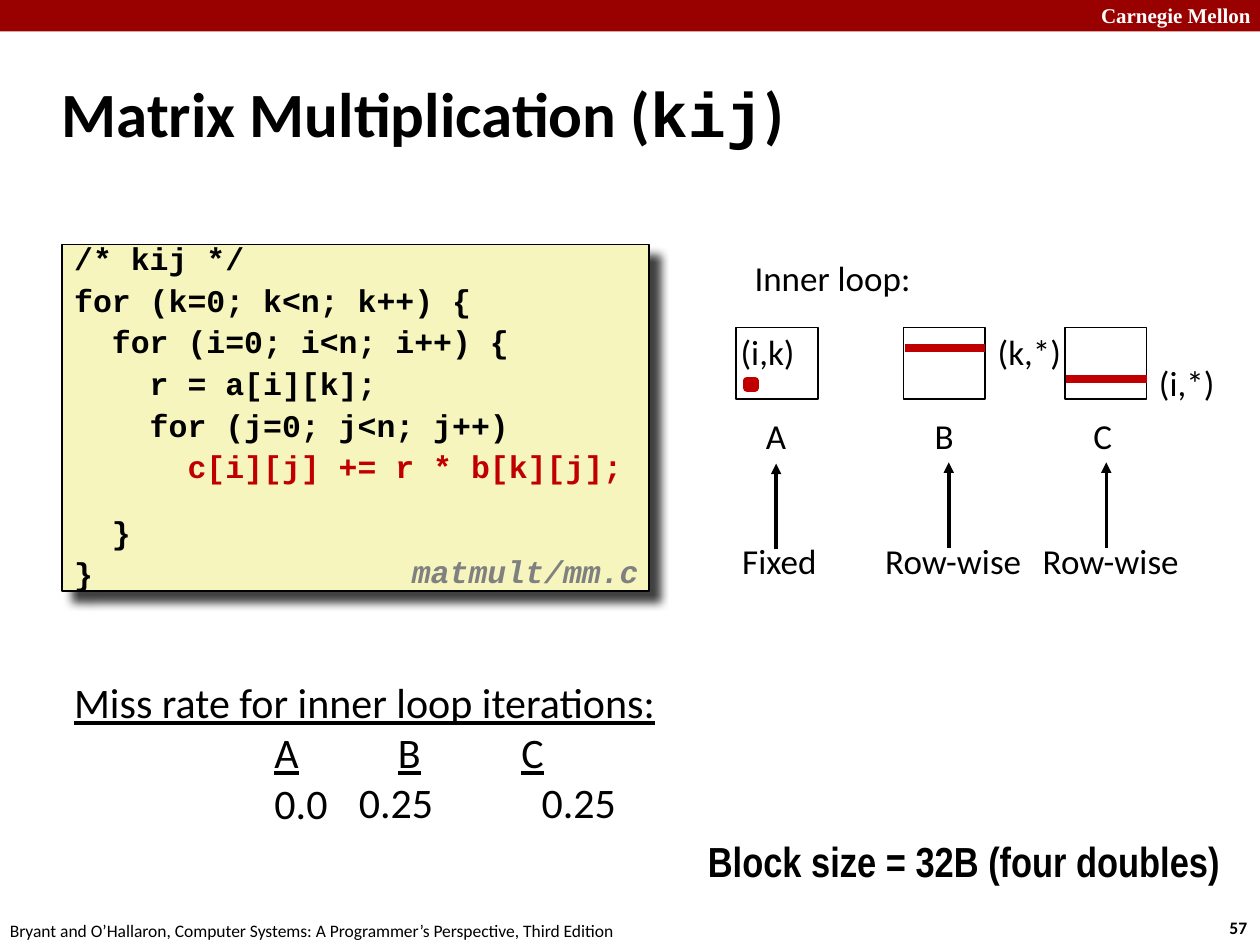
from lxml import etree
from pptx import Presentation
from pptx import util as u
from pptx.dml.color import RGBColor
from pptx.enum import shapes, text
from pptx.oxml import ns

BLACK = RGBColor(0x00, 0x00, 0x00)
WHITE = RGBColor(0xFF, 0xFF, 0xFF)
GREY = RGBColor(0x80, 0x80, 0x80)
BANNER_RED = RGBColor(0x99, 0x00, 0x00)
ACCENT_RED = RGBColor(0xC0, 0x00, 0x00)
BRIGHT_RED = RGBColor(0xFF, 0x00, 0x00)
CODE_YELLOW = RGBColor(0xF6, 0xF5, 0xBD)

deck = Presentation()
deck.slide_width, deck.slide_height = u.Inches(10), u.Inches(7.5)
COL = deck.slide_width / 100
ROW = deck.slide_height / 75
slide = deck.slides.add_slide(deck.slide_layouts[6])


def grid(left, top, width, height):
    """Turn columns and rows into lengths."""
    return [round(n) for n in (left * COL, top * ROW, width * COL, height * ROW)]


def write(words, left, top, width, height, size=20, font="Calibri", color=BLACK,
          bold=False, wrap=False, align=text.PP_ALIGN.LEFT):
    """Add a text box with one paragraph and return that paragraph."""
    frame = slide.shapes.add_textbox(*grid(left, top, width, height)).text_frame
    frame.word_wrap = wrap
    line = frame.paragraphs[0]
    line.text = words
    line.alignment = align
    line.font.size, line.font.name, line.font.bold = u.Pt(size), font, bold
    line.font.color.rgb = color
    return line


# Banner and footer
banner = slide.shapes.add_shape(shapes.MSO_SHAPE.RECTANGLE, *grid(0, 0, 100, 2.5))
banner.shadow.inherit = False
banner.fill.solid()
banner.fill.fore_color.rgb = BANNER_RED
banner.line.fill.background()
write("Carnegie Mellon", 86.4, -0.3, 14.3, 3, 12, "Times New Roman", WHITE, True, True)
write("57", 96.6, 72.3, 3.7, 2.7, 10, bold=True)
write("Bryant and O’Hallaron, Computer Systems: A Programmer’s Perspective, Third Edition",
      -0.2, 72.5, 50.8, 2.7, 10)

# Title
title = slide.shapes.add_textbox(*grid(3.9, 4.8, 83, 8.3)).text_frame
title.word_wrap = True
title.vertical_anchor = text.MSO_ANCHOR.MIDDLE
heading = title.paragraphs[0]
heading.font.size, heading.font.bold = u.Pt(36), True
heading.font.color.rgb = BLACK
for words, font in (("Matrix Multiplication (", "Calibri"), ("kij", "Courier New"), (")", "Calibri")):
    part = heading.add_run()
    part.text, part.font.name = words, font

# Code listing
listing = slide.shapes.add_shape(shapes.MSO_SHAPE.RECTANGLE, *grid(4.9, 19.4, 46.6, 27.5))
listing.fill.solid()
listing.fill.fore_color.rgb = CODE_YELLOW
listing.line.color.rgb = BLACK
listing.line.width = u.Pt(1)
listing.shadow.inherit = False
effects = listing._element.spPr.find(ns.qn("a:effectLst"))
shadow = etree.SubElement(effects, ns.qn("a:outerShdw"), blurRad=str(u.Pt(5)),
                          dist=str(u.Pt(8.5)), dir="2700000", algn="tl", rotWithShape="0")
shade = etree.SubElement(shadow, ns.qn("a:srgbClr"), val=str(BLACK))
etree.SubElement(shade, ns.qn("a:alpha"), val="75000")

CODE = """/* kij */
for (k=0; k<n; k++) {
  for (i=0; i<n; i++) {
    r = a[i][k];
    for (j=0; j<n; j++)
      c[i][j] += r * b[k][j];
  }
}"""
code = listing.text_frame
code.word_wrap = True
code.vertical_anchor = text.MSO_ANCHOR.TOP
code.text = CODE
for number, line in enumerate(code.paragraphs):
    line.alignment = text.PP_ALIGN.LEFT
    line.line_spacing = 0.65
    if number:
        line.space_before = u.Pt(23.2 if line.text == "  }" else 9.8)
    line.font.size, line.font.name, line.font.bold = u.Pt(18), "Courier New", True
    line.font.color.rgb = ACCENT_RED if "+=" in line.text else BLACK
write("matmult/mm.c", 31.7, 43.3, 20.8, 3.9, 18, "Courier New", GREY, True).font.italic = True

# Matrices: name, box left, name left, arrow column, arrow foot, access, access left, access width
MATRICES = (
    ("A", 58.4, 59.8, 61.6, 43.6, "Fixed", 57.9, 7.9),
    ("B", 71.7, 73.2, 75.3, 43.5, "Row-wise", 69.2, 12.9),
    ("C", 84.5, 85.8, 87.8, 43.5, "Row-wise", 81.7, 12.9),
)
write("Inner loop:", 58.9, 19.9, 14.5, 4.3)
strokes = []
for name, left, name_left, arrow, foot, access, access_left, access_width in MATRICES:
    matrix = slide.shapes.add_shape(shapes.MSO_SHAPE.RECTANGLE, *grid(left, 26, 6.5, 5.7))
    matrix.shadow.inherit = False
    matrix.fill.solid()
    matrix.fill.fore_color.rgb = WHITE
    matrix.line.color.rgb = BLACK
    matrix.line.width = u.Pt(1)
    write(name, name_left, 32.4, 3.6, 4.3)
    write(access, access_left, 42.3, access_width, 4.3, align=text.PP_ALIGN.CENTER)
    strokes.append((arrow, foot, arrow, foot - 6.8, BLACK, 2))

# Elements touched in each matrix
element = slide.shapes.add_shape(shapes.MSO_SHAPE.RECTANGLE, *grid(59.3, 30.2, 0.6, 0.6))
element.shadow.inherit = False
element.fill.solid()
element.fill.fore_color.rgb = BRIGHT_RED
element.line.color.rgb = ACCENT_RED
element.line.width = u.Pt(4.5)
strokes += [(71.8, 27.6, 78.2, 27.6, ACCENT_RED, 4.5), (84.6, 30.1, 91, 30.1, ACCENT_RED, 4.5)]
for index, left, top, width in (("(i,k)", 57.8, 25.7, 6.3), ("(k,*)", 78.2, 25.7, 7.1),
                                ("(i,*)", 91, 28.2, 6.4)):
    write(index, left, top, width, 4.3)

for x1, y1, x2, y2, color, weight in strokes:
    stroke = slide.shapes.add_connector(shapes.MSO_CONNECTOR.STRAIGHT, *grid(x1, y1, x2, y2))
    stroke.line.color.rgb = color
    stroke.line.width = u.Pt(weight)
    if color == BLACK:
        etree.SubElement(stroke.line._get_or_add_ln(), ns.qn("a:tailEnd"), type="triangle")
    etree.SubElement(stroke._element.spPr, ns.qn("a:effectLst"))

# Miss rates
rates = slide.shapes.add_textbox(*grid(4.9, 53.2, 54.3, 13.4)).text_frame
rates.word_wrap = True
for number, words in enumerate(("Miss rate for inner loop iterations:", "\tA\tB\tC", "\t0.0")):
    line = rates.paragraphs[0] if number == 0 else rates.add_paragraph()
    stops = etree.SubElement(line._p.get_or_add_pPr(), ns.qn("a:tabLst"))
    for stop in (15.9, 25.7, 35.5):
        etree.SubElement(stops, ns.qn("a:tab"), pos=str(round(stop * COL)), algn="l")
    line.font.size, line.font.name = u.Pt(24), "Calibri"
    line.font.color.rgb = BLACK
    for place, word in enumerate(words.split("\t")):
        if place:
            line.add_run().text = "\t"
        if word:
            part = line.add_run()
            part.text, part.font.underline = word, number < 2
for left in (27.5, 42):
    write("0.25", left, 61.1, 8, 5, 24)
write("Block size = 32B (four doubles)", 55.2, 65.8, 44, 5, 24, "Arial Narrow", bold=True, wrap=True)

deck.save("out.pptx")
